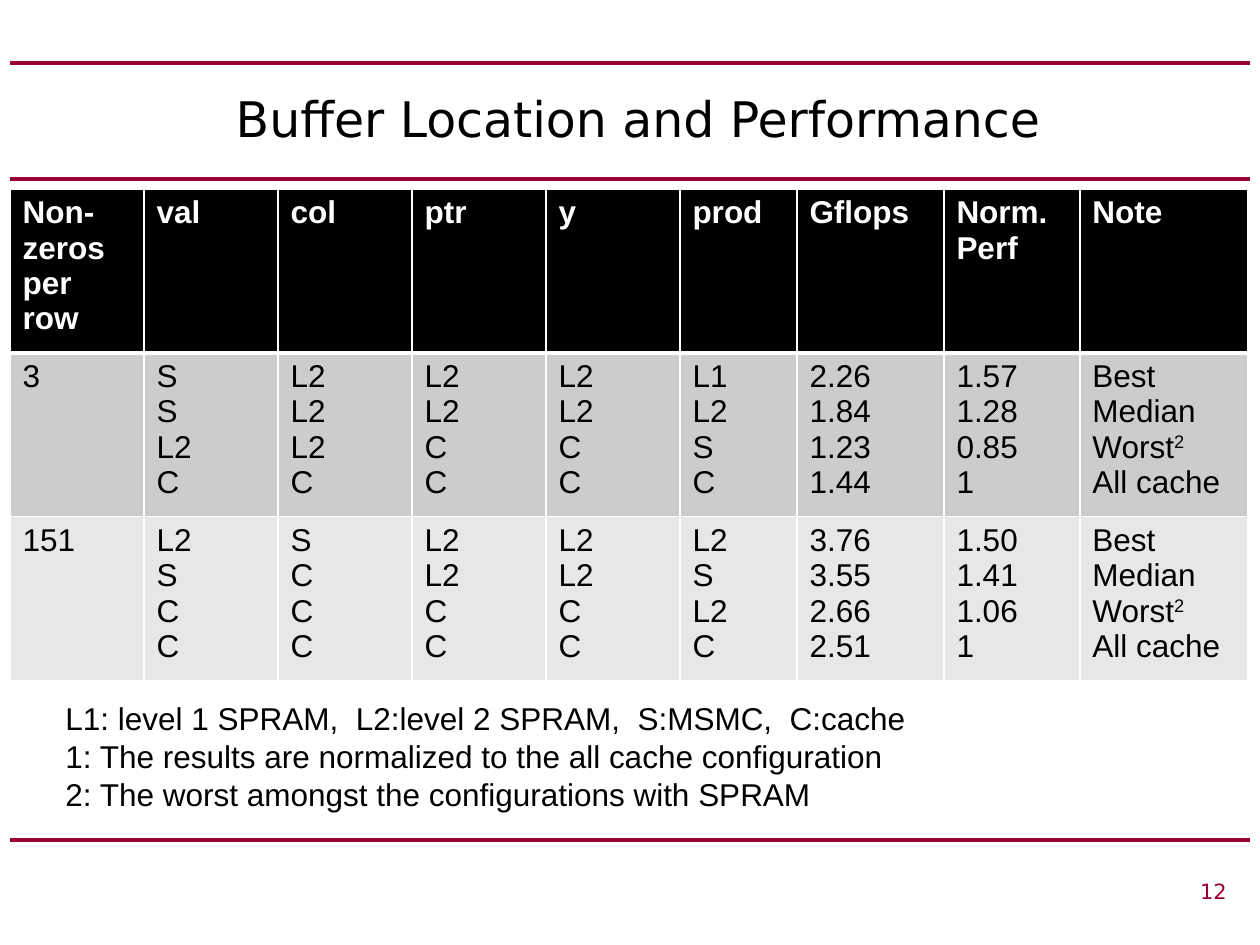
from lxml import etree
from pptx import Presentation
from pptx import util as u
from pptx.dml.color import RGBColor
from pptx.enum import shapes, text
from pptx.oxml import ns

PX = 914400 // 126 + 1
BLACK = RGBColor(0x00, 0x00, 0x00)
WHITE = RGBColor(0xFF, 0xFF, 0xFF)
CRIMSON = RGBColor(0x99, 0x00, 0x33)
ROW_FILLS = (BLACK, RGBColor(0xCC, 0xCC, 0xCC), RGBColor(0xE7, 0xE7, 0xE7))
SANS, HEADING = "Arial", "DejaVu Sans"

RULE_HEIGHTS = (840, 179, 63)
COLUMN_WIDTHS = (134, 134, 134, 134, 134, 117, 147, 136, 168)
ROW_HEIGHT = 153
NOTES = "Best|Median|Worst^2|All cache"
RESULTS = (
    ("Non-zeros per row", "val", "col", "ptr", "y", "prod", "Gflops", "Norm. Perf", "Note"),
    ("3", "S|S|L2|C", "L2|L2|L2|C", "L2|L2|C|C", "L2|L2|C|C", "L1|L2|S|C",
     "2.26|1.84|1.23|1.44", "1.57|1.28|0.85|1", NOTES),
    ("151", "L2|S|C|C", "S|C|C|C", "L2|L2|C|C", "L2|L2|C|C", "L2|S|L2|C",
     "3.76|3.55|2.66|2.51", "1.50|1.41|1.06|1", NOTES),
)
LEGEND = (
    "L1: level 1 SPRAM,  L2:level 2 SPRAM,  S:MSMC,  C:cache",
    "1: The results are normalized to the all cache configuration",
    "2: The worst amongst the configurations with SPRAM",
)


def px(*lengths):
    """Turn pixel lengths into EMU."""
    return [u.Emu(length * PX) for length in lengths]


def add_run(paragraph, words, font, size, color, bold=False):
    """Add one formatted run and return it."""
    run = paragraph.add_run()
    run.text = words
    run.font.name, run.font.size, run.font.bold = font, u.Pt(size), bold
    run.font.color.rgb = color
    return run


def write_lines(frame, lines, font, size, color, bold=False, align=text.PP_ALIGN.LEFT):
    """Write one paragraph a line, raising whatever follows a caret."""
    for index, line in enumerate(lines):
        paragraph = frame.paragraphs[0] if index == 0 else frame.add_paragraph()
        paragraph.alignment = align
        base, _, raised = line.partition("^")
        add_run(paragraph, base, font, size, color, bold)
        if raised:
            mark = add_run(paragraph, raised, font, size, color, bold)
            mark.font._element.set("baseline", "30000")


def add_text(slide, box, lines, font, size, color, align, anchor=text.MSO_ANCHOR.TOP):
    """Add a wrapping text box."""
    frame = slide.shapes.add_textbox(*px(*box)).text_frame
    frame.word_wrap = True
    frame.vertical_anchor = anchor
    write_lines(frame, lines, font, size, color, align=align)


def add_rule(slide, y):
    """Add a horizontal rule across the slide."""
    rule = slide.shapes.add_connector(shapes.MSO_CONNECTOR.STRAIGHT, *px(10, y, 1250, y))
    rule.line.color.rgb = CRIMSON
    rule.line.width = u.Pt(2.25)
    etree.SubElement(rule._element.spPr, ns.qn("a:effectLst"))


def set_borders(cell, top, bottom):
    """Give a cell white borders, with top and bottom widths in points."""
    properties = cell._tc.get_or_add_tcPr()
    for side, width in (("L", 1), ("R", 1), ("T", top), ("B", bottom)):
        border = etree.SubElement(properties, ns.qn(f"a:ln{side}"), w=str(u.Pt(width)))
        fill = etree.SubElement(border, ns.qn("a:solidFill"))
        etree.SubElement(fill, ns.qn("a:srgbClr"), val=str(WHITE))


def add_results(slide):
    """Add the table of buffer locations and performance."""
    box = px(10, 189, sum(COLUMN_WIDTHS), ROW_HEIGHT * len(RESULTS))
    table = slide.shapes.add_table(len(RESULTS), len(COLUMN_WIDTHS), *box).table
    table.horz_banding = False
    for column, width in zip(table.columns, px(*COLUMN_WIDTHS)):
        column.width = width
    for index, (row, entries) in enumerate(zip(table.rows, RESULTS)):
        header = index == 0
        for cell, entry in zip(row.cells, entries):
            set_borders(cell, 3 if index == 1 else 1, 3 if header else 1)
            cell.fill.solid()
            cell.fill.fore_color.rgb = ROW_FILLS[index]
            write_lines(cell.text_frame, entry.split("|"), SANS, 18,
                        WHITE if header else BLACK, header)


def main():
    """Build and save the slide."""
    deck = Presentation()
    deck.slide_width, deck.slide_height = u.Inches(10), u.Inches(7.5)
    slide = deck.slides.add_slide(deck.slide_layouts[6])
    for y in RULE_HEIGHTS:
        add_rule(slide, y)
    add_text(slide, (63, 63, 1134, 110), [" Buffer Location and Performance"], HEADING, 28,
             BLACK, text.PP_ALIGN.CENTER, text.MSO_ANCHOR.MIDDLE)
    add_results(slide)
    add_text(slide, (357, 872, 882, 42), ["12"], HEADING, 12, CRIMSON, text.PP_ALIGN.RIGHT)
    add_text(slide, (53, 693, 1187, 127), LEGEND, SANS, 18, BLACK, text.PP_ALIGN.LEFT)
    deck.save("out.pptx")


if __name__ == "__main__":
    main()
